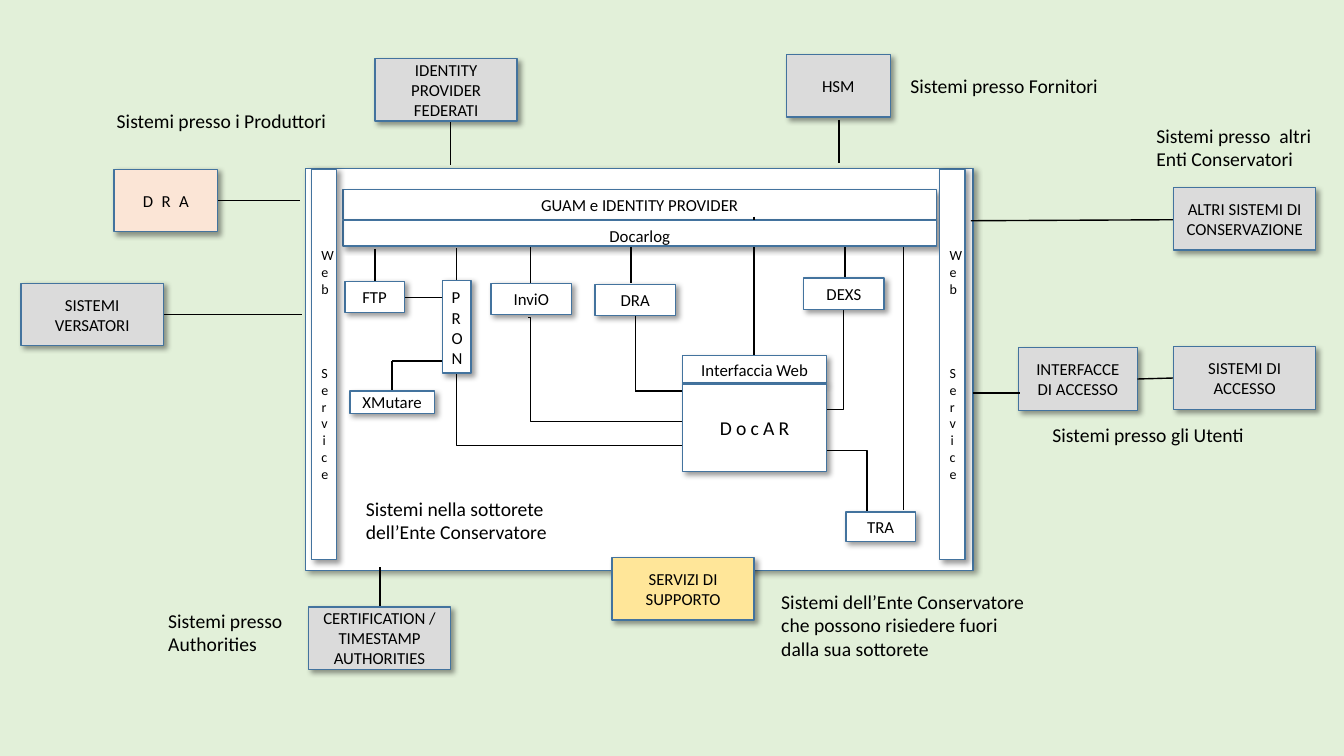
from lxml import etree
from pptx import Presentation
from pptx.dml.color import RGBColor
from pptx.enum.shapes import MSO_CONNECTOR, MSO_SHAPE
from pptx.enum.text import MSO_ANCHOR, MSO_AUTO_SIZE, PP_ALIGN
from pptx.oxml.ns import qn
from pptx.util import Inches, Pt

RECT = MSO_SHAPE.RECTANGLE
LINE, ELBOW = MSO_CONNECTOR.STRAIGHT, MSO_CONNECTOR.ELBOW
TOP, MID = MSO_ANCHOR.TOP, MSO_ANCHOR.MIDDLE
LEFT, MIDDLE, JUSTIFY = PP_ALIGN.LEFT, PP_ALIGN.CENTER, PP_ALIGN.JUSTIFY
GROW = MSO_AUTO_SIZE.SHAPE_TO_FIT_TEXT

THEME = {
    "font": "Calibri", "back": "E2F0D9", "ink": "000000", "edge": "43739E",
    "white": "FFFFFF", "grey": "DBDBDB", "peach": "FBE5D6", "gold": "FFE699",
    "bar": 10, "box": 12, "label": 14,
}

WIDE, MEDIUM, SMALL = (1.41, 0.62), (1.03, 0.62), (0.8, 0.31)
BAND = 5.89  # width of the two bands under the top edge

# text, left, top, (width, height), fill, options
BASE = [
    ("", 3.03, 1.67, (6.62, 3.99), "white", {}),
    ("GUAM e IDENTITY PROVIDER", 3.4, 1.88, (BAND, 0.3), "white", {"anchor": TOP}),
    ("INTERFACCE DI ACCESSO", 10.1, 3.45, (1.18, 0.62), "grey", {}),
]
BOXES = [
    ("Docarlog", 3.4, 2.19, (BAND, 0.25), "white", {"anchor": TOP}),
    ("", 4.39, 2.78, (0.28, 0.92), "white", {}),
    ("FTP", 3.42, 2.79, (0.59, 0.31), "white", {}),
    ("InviO", 4.87, 2.81, SMALL, "white", {}),
    ("DRA", 5.9, 2.82, SMALL, "white", {}),
    ("DEXS", 7.97, 2.76, SMALL, "white", {}),
    ("XMutare", 3.47, 3.88, (0.84, 0.22), "white", {}),
    ("Interfaccia Web", 6.77, 3.53, (1.43, 0.27), "white", {}),
    ("DocAR", 6.77, 3.81, (1.43, 0.87), "white", {"size": "label", "gap": 3}),
    ("TRA", 8.39, 5.08, (0.69, 0.29), "white", {"anchor": TOP}),
    ("IDENTITY PROVIDER\nFEDERATI", 3.72, 0.58, WIDE, "grey", {}),
    ("HSM", 7.8, 0.54, MEDIUM, "grey", {}),
    ("DRA", 1.13, 1.68, MEDIUM, "peach", {"gap": 6}),
    ("SISTEMI VERSATORI", 0.21, 2.81, WIDE, "grey", {}),
    ("ALTRI SISTEMI DI CONSERVAZIONE", 11.64, 1.86, WIDE, "grey", {}),
    ("SISTEMI DI ACCESSO", 11.64, 3.44, WIDE, "grey", {}),
    ("SERVIZI DI SUPPORTO", 6.07, 5.53, WIDE, "gold", {}),
    ("CERTIFICATION / TIMESTAMP AUTHORITIES", 3.06, 6.02, WIDE, "grey", {}),
]
BARS = [3.09, 9.32]
BAR_TEXT = "Web    Service"

# text, left, top, width, height, alignment, size
LABELS = [
    ("Sistemi presso i Produttori", 1.06, 1.03, 2.76, 0.34, LEFT, "label"),
    ("Sistemi presso Fornitori", 8.93, 0.68, 2.25, 0.34, JUSTIFY, "label"),
    ("Sistemi presso  altri Enti Conservatori", 11.37, 1.18, 1.95, 0.57, LEFT, "label"),
    ("Sistemi presso gli Utenti", 10.34, 4.15, 2.54, 0.34, LEFT, "label"),
    ("Sistemi nella sottorete dell’Ente Conservatore", 3.53, 4.88, 2.16, 0.57, LEFT, "label"),
    ("Sistemi dell’Ente Conservatore\nche possono risiedere fuori dalla sua sottorete",
     7.65, 5.8, 2.62, 0.81, LEFT, "label"),
    ("Sistemi presso  Authorities", 1.57, 5.99, 1.48, 0.57, LEFT, "label"),
    ("PRON", 4.38, 2.8, 0.32, 0.91, LEFT, "box"),
]

# x, top, bottom
DROPS = [
    (4.47, 1.2, 1.64), (8.32, 1.19, 1.62), (3.77, 5.63, 6.02),
    (3.72, 2.47, 2.79), (4.53, 2.46, 2.78), (5.26, 2.45, 2.81),
    (6.26, 2.44, 2.81), (7.48, 2.15, 3.68), (8.38, 2.44, 2.77),
    (8.96, 2.44, 5.06), (6.3, 3.12, 3.88), (3.89, 3.58, 3.87),
]
# left, y, right, y
LINKS = [
    (2.16, 1.99, 2.98, 1.99), (1.62, 3.12, 3, 3.12),
    (9.63, 2.19, 11.64, 2.18), (9.65, 3.9, 10.12, 3.9),
    (11.28, 3.76, 11.64, 3.75), (4.01, 2.95, 4.39, 2.95),
    (6.3, 3.88, 6.77, 3.88), (3.89, 3.58, 4.38, 3.58),
]
# left, top, width, height before turning; turn, mirrored, bend (None: one corner)
ELBOWS = [
    (7.94, 4.47, 0.66, 0.61, 0, False, None),
    (5.32, 2.92, 0.71, 2.29, 270, True, None),
    (5.24, 3.15, 1.52, 1.03, 0, False, 0.015),
    (7.6, 3.3, 0.99, 0.54, 90, False, 0.998),
]


def color(name):
    return RGBColor.from_string(THEME[name])


def add(parent, tag, **attrs):
    return etree.SubElement(parent, qn(tag), attrs)


def write(shape, text, size, align, anchor, gap=0):
    frame = shape.text_frame
    frame.word_wrap = True
    frame.vertical_anchor = anchor
    for i, part in enumerate(text.split("\n")):
        para = frame.add_paragraph() if i else frame.paragraphs[0]
        para.alignment = align
        run = para.add_run()
        run.text = part
        run.font.name = THEME["font"]
        run.font.size = Pt(THEME[size])
        run.font.color.rgb = color("ink")
        if gap:
            run.font._element.set("spc", str(gap * 100))


def draw_box(slide, text, x, y, size, fill, opts):
    shape = slide.shapes.add_shape(RECT, *map(Inches, (x, y, *size)))
    shape.fill.solid()
    shape.fill.fore_color.rgb = color(fill)
    shape.line.color.rgb = color("edge")
    shape.line.width = Pt(1)
    shape.shadow.inherit = False
    effects = shape._element.spPr.find(qn("a:effectLst"))
    shade = add(effects, "a:outerShdw", blurRad=str(Pt(4)), dist=str(Pt(3)),
                dir="2700000", algn="tl", rotWithShape="0")
    add(add(shade, "a:srgbClr", val=THEME["ink"]), "a:alpha", val="40000")
    if text:
        write(shape, text, opts.get("size", "box"), MIDDLE,
              opts.get("anchor", MID), opts.get("gap", 0))
    return shape


def draw_line(slide, kind, *ends):
    line = slide.shapes.add_connector(kind, *map(Inches, ends))
    line.line.color.rgb = color("ink")
    line.line.width = Pt(1)
    add(line._element.spPr, "a:effectLst")
    return line


def draw_elbow(slide, x, y, w, h, turn, mirror, bend):
    start, end = (x + w, x) if mirror else (x, x + w)
    props = draw_line(slide, ELBOW, start, y, end, y + h)._element.spPr
    if turn:
        props.find(qn("a:xfrm")).set("rot", str(turn * 60000))
    geom = props.find(qn("a:prstGeom"))
    if bend is None:
        geom.set("prst", "bentConnector2")
    else:
        add(geom.find(qn("a:avLst")), "a:gd", name="adj1",
            fmla=f"val {round(bend * 100000)}")


def main():
    deck = Presentation()
    deck.slide_width, deck.slide_height = Inches(13.33), Inches(7.5)
    slide = deck.slides.add_slide(deck.slide_layouts[6])
    slide.background.fill.solid()
    slide.background.fill.fore_color.rgb = color("back")

    for box in BASE:
        draw_box(slide, *box)
    for x, top, low in DROPS:
        draw_line(slide, LINE, x, top, x, low)
    for link in LINKS:
        draw_line(slide, LINE, *link)
    for elbow in ELBOWS:
        draw_elbow(slide, *elbow)
    for box in BOXES:
        draw_box(slide, *box)
    for x in BARS:
        opts = {"size": "bar", "gap": -3}
        bar = draw_box(slide, BAR_TEXT, x, 1.68, (0.25, 3.87), "white", opts)
        bar.text_frame._txBody.bodyPr.set("vert", "wordArtVert")
    for text, x, y, w, h, align, size in LABELS:
        label = slide.shapes.add_textbox(*map(Inches, (x, y, w, h)))
        write(label, text, size, align, TOP)
        label.text_frame.auto_size = GROW

    deck.save("out.pptx")


if __name__ == "__main__":
    main()
